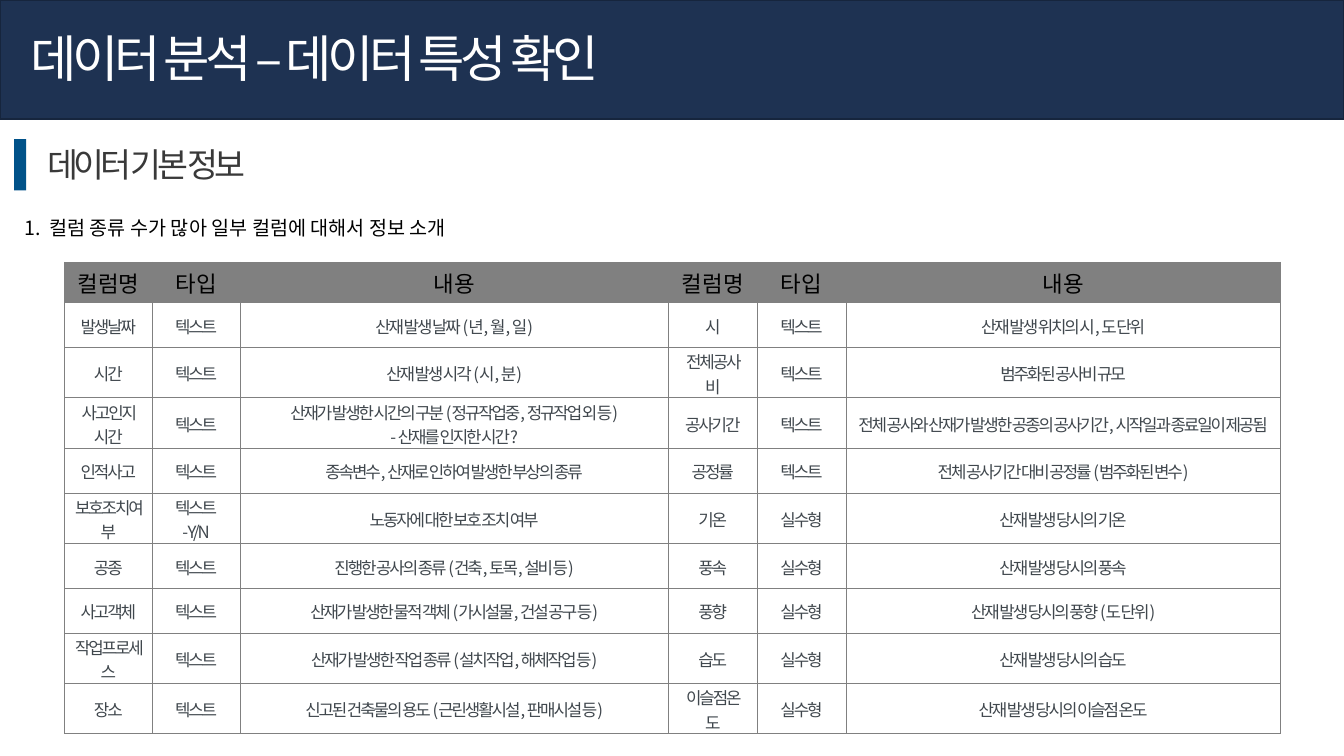
from lxml.etree import SubElement
from pptx import Presentation
from pptx.dml.color import RGBColor
from pptx.enum.shapes import MSO_SHAPE
from pptx.enum.text import MSO_ANCHOR, PP_ALIGN
from pptx.oxml.ns import qn
from pptx.util import Inches, Pt

COLORS = {"navy": "1E3252", "edge": "16253D", "blue": "005289", "gray": "808080",
          "white": "FFFFFF", "dark": "393939", "black": "000000", "slate": "40474D"}
FONT = "Noto Sans CJK KR"
HEAD = ["컬럼명", "타입", "내용"] * 2
ROWS = [
    ["발생날짜", "텍스트", "산재 발생 날짜 (년, 월, 일)",
     "시", "텍스트", "산재 발생 위치의 시, 도 단위"],
    ["시간", "텍스트", "산재 발생 시각 (시, 분)",
     "전체공사비", "텍스트", "범주화된 공사비 규모"],
    ["사고인지 시간", "텍스트",
     "산재가 발생한 시간의 구분 (정규작업중, 정규작업 외 등)\n- 산재를 인지한 시간?",
     "공사기간", "텍스트",
     "전체 공사와 산재가 발생한 공종의 공사기간, 시작일과 종료일이 제공됨"],
    ["인적사고", "텍스트", "종속변수, 산재로 인하여 발생한 부상의 종류",
     "공정률", "텍스트", "전체 공사기간 대비 공정률 (범주화된 변수)"],
    ["보호조치여부", "텍스트\n- Y/N", "노동자에 대한 보호 조치 여부",
     "기온", "실수형", "산재 발생 당시의 기온"],
    ["공종", "텍스트", "진행한 공사의 종류 (건축, 토목, 설비 등)",
     "풍속", "실수형", "산재 발생 당시의 풍속"],
    ["사고객체", "텍스트", "산재가 발생한 물적 객체 (가시설물, 건설 공구 등)",
     "풍향", "실수형", "산재 발생 당시의 풍향 (도 단위)"],
    ["작업프로세스", "텍스트", "산재가 발생한 작업 종류 (설치작업, 해체작업 등)",
     "습도", "실수형", "산재 발생 당시의 습도"],
    ["장소", "텍스트", "신고된 건축물의 용도 (근린생활시설, 판매시설 등)",
     "이슬점온도", "실수형", "산재 발생 당시의 이슬점 온도"],
]
WIDTHS = [0.87, 0.87, 4.25, 0.88, 0.88, 4.31]
LOW, TALL = 0.445, 0.5
HEIGHTS = [0.4, LOW, TALL, TALL, LOW, TALL, LOW, LOW, TALL, TALL]


class Deck:
    """Holds the colours, the font and the current slide."""

    def __init__(self, slide):
        self.slide = slide

    def color(self, name):
        return RGBColor.from_string(COLORS[name])

    def paint(self, fill, name):
        fill.solid()
        fill.fore_color.rgb = self.color(name)

    def style(self, para, size, color, gap=0):
        font = para.font
        font.size = Pt(size)
        font.color.rgb = self.color(color)
        font.name = FONT
        props = para._p.pPr.find(qn("a:defRPr"))
        SubElement(props, qn("a:ea"), typeface=FONT)
        if gap:
            props.set("spc", str(int(gap * 100)))

    def bar(self, box, fill, line=None):
        bar = self.slide.shapes.add_shape(MSO_SHAPE.RECTANGLE, *map(Inches, box))
        bar.shadow.inherit = False
        self.paint(bar.fill, fill)
        if line:
            bar.line.color.rgb = self.color(line)
            bar.line.width = Pt(1)
        else:
            bar.line.fill.background()
        return bar

    def text(self, shape, box, text, size, color, gap=0, wrap=False):
        shape.left, shape.top, shape.width, shape.height = map(Inches, box)
        frame = shape.text_frame
        frame.text = text
        frame.word_wrap = wrap
        frame.vertical_anchor = MSO_ANCHOR.TOP
        para = frame.paragraphs[0]
        para.alignment = PP_ALIGN.LEFT
        para.line_spacing = 1.0
        para.space_before = Pt(0)
        self.style(para, size, color, gap)
        return para

    def title(self, box, text):
        self.text(self.slide.shapes.title, box, text, 36, "white", -3)

    def label(self, box, text):
        shape = self.slide.shapes.add_textbox(*map(Inches, box))
        self.text(shape, box, text, 24, "dark", -3)

    def list(self, box, text):
        body = self.slide.placeholders[1]
        para = self.text(body, box, text, 14, "black", wrap=True)
        props = para._p.pPr
        props.set("marL", str(Inches(0.25)))
        props.set("indent", str(Inches(-0.25)))
        mark = SubElement(props, qn("a:buAutoNum"), type="arabicPeriod")
        props.find(qn("a:defRPr")).addprevious(mark)

    def border(self, cell):
        props = cell._tc.get_or_add_tcPr()
        for i, side in enumerate(("lnL", "lnR", "lnT", "lnB")):
            line = SubElement(props, qn(f"a:{side}"), w=str(Pt(0.5)))
            fill = SubElement(line, qn("a:solidFill"))
            SubElement(fill, qn("a:srgbClr"), val=COLORS["gray"])
            props.insert(i, line)

    def cell(self, cell, text, fill, size, color, gap):
        cell.text = text
        cell.vertical_anchor = MSO_ANCHOR.MIDDLE
        cell.margin_top, cell.margin_bottom = Inches(0.02), 0
        self.paint(cell.fill, fill)
        self.border(cell)
        for para in cell.text_frame.paragraphs:
            para.alignment = PP_ALIGN.CENTER
            self.style(para, size, color, gap)

    def table(self, left, top, rows):
        size = map(Inches, (left, top, sum(WIDTHS), sum(HEIGHTS)))
        table = self.slide.shapes.add_table(len(rows), len(WIDTHS), *size).table
        for col, width in zip(table.columns, WIDTHS):
            col.width = Inches(width)
        for row, height in zip(table.rows, HEIGHTS):
            row.height = Inches(height)
        for r, row in enumerate(rows):
            look = ("white", 12, "slate", -1.5) if r else ("gray", 16, "black", 0)
            for c, text in enumerate(row):
                self.cell(table.cell(r, c), text, *look)


def main():
    prs = Presentation()
    prs.slide_width, prs.slide_height = Inches(13.33), Inches(7.5)
    slide = prs.slides.add_slide(prs.slide_layouts[1])
    deck = Deck(slide)
    banner = deck.bar((0, 0, 13.33, 1.18), "navy", "edge")
    slide.shapes.title.element.addprevious(banner.element)
    deck.title((0.2, 0.22, 6.65, 0.71), "데이터 분석 – 데이터 특성 확인")
    deck.label((0.37, 1.38, 2.42, 0.5), "데이터 기본 정보")
    deck.bar((0.14, 1.38, 0.12, 0.51), "blue")
    deck.list((0.14, 2.09, 9.77, 0.34), "컬럼 종류 수가 많아 일부 컬럼에 대해서 정보 소개")
    deck.table(0.64, 2.6, [HEAD] + ROWS)
    prs.save("out.pptx")


if __name__ == "__main__":
    main()
